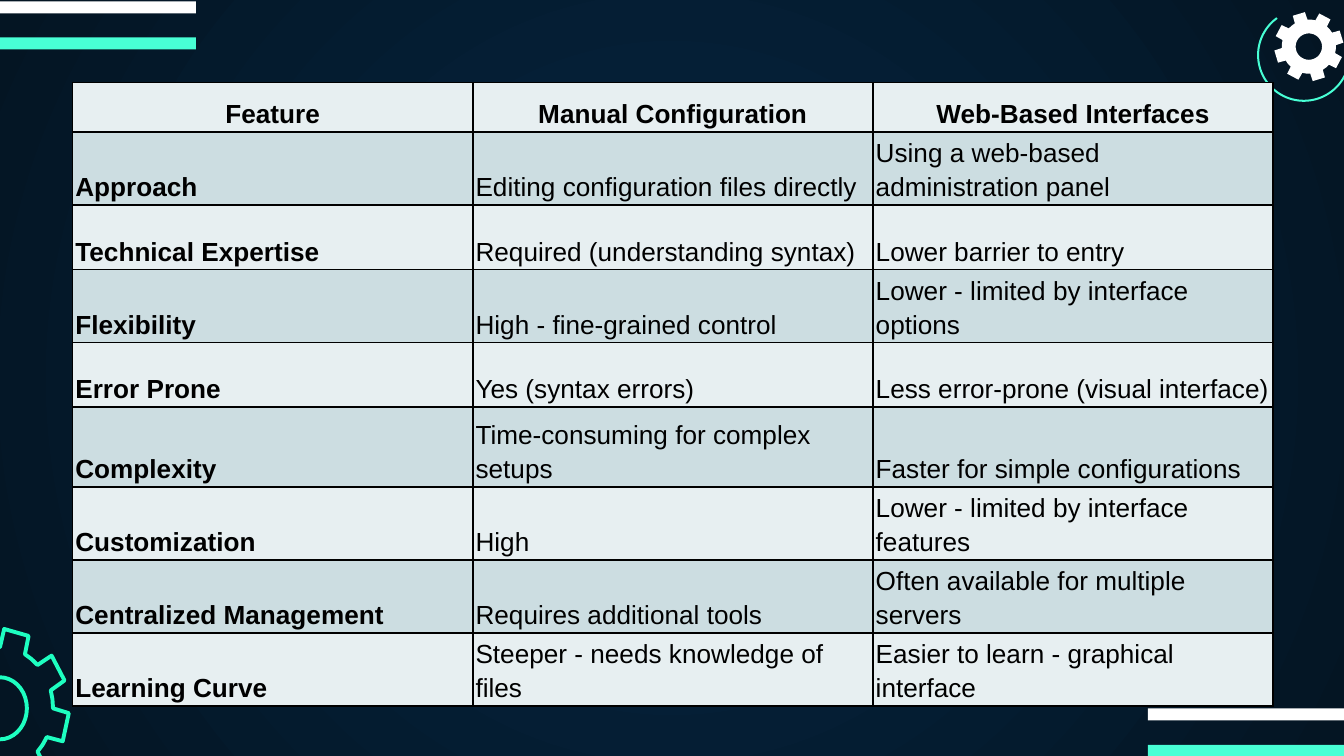
"""Build a slide comparing manual configuration with web-based interfaces."""
import math
from dataclasses import dataclass
from typing import Optional

import lxml.etree
import pptx
import pptx.dml.color
import pptx.enum.dml
import pptx.enum.shapes
import pptx.enum.text
import pptx.oxml.ns
import pptx.util

Pt = pptx.util.Pt
RGBColor = pptx.dml.color.RGBColor
qn = pptx.oxml.ns.qn

WHITE = RGBColor(0xFF, 0xFF, 0xFF)
BLACK = RGBColor(0x00, 0x00, 0x00)
MINT = RGBColor(0x48, 0xFF, 0xD5)
BRIGHT_MINT = RGBColor(0x1E, 0xFF, 0xC1)
NAVY = RGBColor(0x05, 0x26, 0x43)
MIDNIGHT = RGBColor(0x04, 0x15, 0x23)
PALE_ROW = RGBColor(0xE7, 0xEF, 0xF1)
TINTED_ROW = RGBColor(0xCC, 0xDD, 0xE1)

HEADINGS = ("Feature", "Manual Configuration", "Web-Based Interfaces")
FEATURES = (
    ("Approach", "Editing configuration files directly", "Using a web-based administration panel"),
    ("Technical Expertise", "Required (understanding syntax)", "Lower barrier to entry"),
    ("Flexibility", "High - fine-grained control", "Lower - limited by interface options"),
    ("Error Prone", "Yes (syntax errors)", "Less error-prone (visual interface)"),
    ("Complexity", "Time-consuming for complex setups", "Faster for simple configurations"),
    ("Customization", "High", "Lower - limited by interface features"),
    ("Centralized Management", "Requires additional tools", "Often available for multiple servers"),
    ("Learning Curve", "Steeper - needs knowledge of files", "Easier to learn - graphical interface"),
)
ROW_HEIGHTS = (26.4, 34.6, 34.6, 34.6, 34.6, 42.8, 34.6, 34.6, 34.6)
COLUMN_WIDTH = 214.4


@dataclass(frozen=True)
class Bar:
    left: float
    top: float
    color: RGBColor


@dataclass(frozen=True)
class Gear:
    center_x: float
    center_y: float
    radius_x: float
    radius_y: float
    root: float
    hub: float
    first_tooth: float
    fill: Optional[RGBColor] = None
    line: Optional[RGBColor] = None


BARS = (
    Bar(0, 0.7, WHITE),
    Bar(0, 20, MINT),
    Bar(615, 379.5, WHITE),
    Bar(615, 399, MINT),
)
GEARS = (
    Gear(0, 379.5, 36.9, 42.6, 0.77, 0.39, 14, line=BRIGHT_MINT),
    Gear(701.2, 25, 18.6, 18.6, 0.78, 0.38, 28, fill=WHITE),
)


def paint_background(slide) -> None:
    fill = slide.background.fill
    fill.gradient()
    for stop, color in zip(fill.gradient_stops, (NAVY, MIDNIGHT)):
        stop.color.rgb = color
    gradient = next(slide.element.iter(qn("a:gradFill")))
    gradient.remove(gradient.find(qn("a:lin")))
    circle = lxml.etree.SubElement(gradient, qn("a:path"), path="circle")
    lxml.etree.SubElement(circle, qn("a:fillToRect"), l="50000", t="50000", r="50000", b="50000")


def add_bar(slide, bar: Bar) -> None:
    stripe = slide.shapes.add_shape(
        pptx.enum.shapes.MSO_SHAPE.RECTANGLE, Pt(bar.left), Pt(bar.top), Pt(105), Pt(6.5)
    )
    stripe.shadow.inherit = False
    stripe.fill.solid()
    stripe.fill.fore_color.rgb = bar.color
    stripe.line.fill.background()


def add_gear(slide, gear: Gear) -> None:
    def place(angle: float, share: float) -> tuple:
        turn = math.radians(angle)
        return (
            Pt(gear.center_x + gear.radius_x * share * math.cos(turn)),
            Pt(gear.center_y + gear.radius_y * share * math.sin(turn)),
        )

    tooth = ((-14, gear.root), (-10.5, 1), (10.5, 1), (14, gear.root), (22.5, gear.root))
    rim = [
        place(gear.first_tooth + 45 * number + offset, share)
        for number in range(8)
        for offset, share in tooth
    ]
    hub = [place(angle, gear.hub) for angle in range(0, 360, 10)]
    builder = slide.shapes.build_freeform(*rim[0], scale=1.0)
    builder.add_line_segments(rim[1:], close=True)
    builder.move_to(*hub[0])
    builder.add_line_segments(hub[1:], close=True)
    wheel = builder.convert_to_shape()
    wheel.shadow.inherit = False
    if gear.fill is None:
        wheel.fill.background()
    else:
        wheel.fill.solid()
        wheel.fill.fore_color.rgb = gear.fill
    if gear.line is None:
        wheel.line.fill.background()
    else:
        wheel.line.color.rgb = gear.line
        wheel.line.width = Pt(2.1)


def add_orbit(slide) -> None:
    orbit = slide.shapes.add_shape(
        pptx.enum.shapes.MSO_SHAPE.ARC, Pt(674), Pt(5), Pt(49), Pt(49)
    )
    orbit.adjustments[0] = 344 * 0.6
    orbit.adjustments[1] = 234 * 0.6
    orbit.shadow.inherit = False
    orbit.fill.background()
    orbit.line.color.rgb = MINT
    orbit.line.width = Pt(1.09)


def write(cell, text: str, *, bold: bool = False, centered: bool = False) -> None:
    paragraph = cell.text_frame.paragraphs[0]
    paragraph.line_spacing = 1.15
    align = pptx.enum.text.PP_ALIGN
    paragraph.alignment = align.CENTER if centered else align.LEFT
    run = paragraph.add_run()
    run.text = text
    run.font.name = "Arial"
    run.font.size = Pt(14)
    run.font.bold = bold
    run.font.color.rgb = BLACK


def format_cell(cell, color: RGBColor) -> None:
    cell.margin_left = cell.margin_right = cell.margin_top = cell.margin_bottom = Pt(1.5)
    cell.vertical_anchor = pptx.enum.text.MSO_ANCHOR.BOTTOM
    cell.fill.solid()
    cell.fill.fore_color.rgb = color
    properties = cell._tc.get_or_add_tcPr()
    for position, side in enumerate(("lnL", "lnR", "lnT", "lnB")):
        border = lxml.etree.Element(qn(f"a:{side}"), w=str(Pt(1)))
        paint = lxml.etree.SubElement(border, qn("a:solidFill"))
        lxml.etree.SubElement(paint, qn("a:srgbClr"), val=str(BLACK))
        properties.insert(position, border)


def add_comparison(slide) -> None:
    comparison = slide.shapes.add_table(
        len(ROW_HEIGHTS), len(HEADINGS), Pt(38.9), Pt(44.2),
        Pt(COLUMN_WIDTH * len(HEADINGS)), Pt(sum(ROW_HEIGHTS)),
    ).table
    comparison.horz_banding = False
    for column in comparison.columns:
        column.width = Pt(COLUMN_WIDTH)
    for row_index, texts in enumerate((HEADINGS, *FEATURES)):
        comparison.rows[row_index].height = Pt(ROW_HEIGHTS[row_index])
        heading = row_index == 0
        for column_index, text in enumerate(texts):
            cell = comparison.cell(row_index, column_index)
            format_cell(cell, TINTED_ROW if row_index % 2 else PALE_ROW)
            write(cell, text, bold=heading or column_index == 0, centered=heading)


def main() -> None:
    presentation = pptx.Presentation()
    presentation.slide_width = Pt(720)
    presentation.slide_height = Pt(405)
    slide = presentation.slides.add_slide(presentation.slide_layouts[6])
    paint_background(slide)
    for bar in BARS:
        add_bar(slide, bar)
    add_orbit(slide)
    for gear in GEARS:
        add_gear(slide, gear)
    add_comparison(slide)
    presentation.save("out.pptx")


if __name__ == "__main__":
    main()
